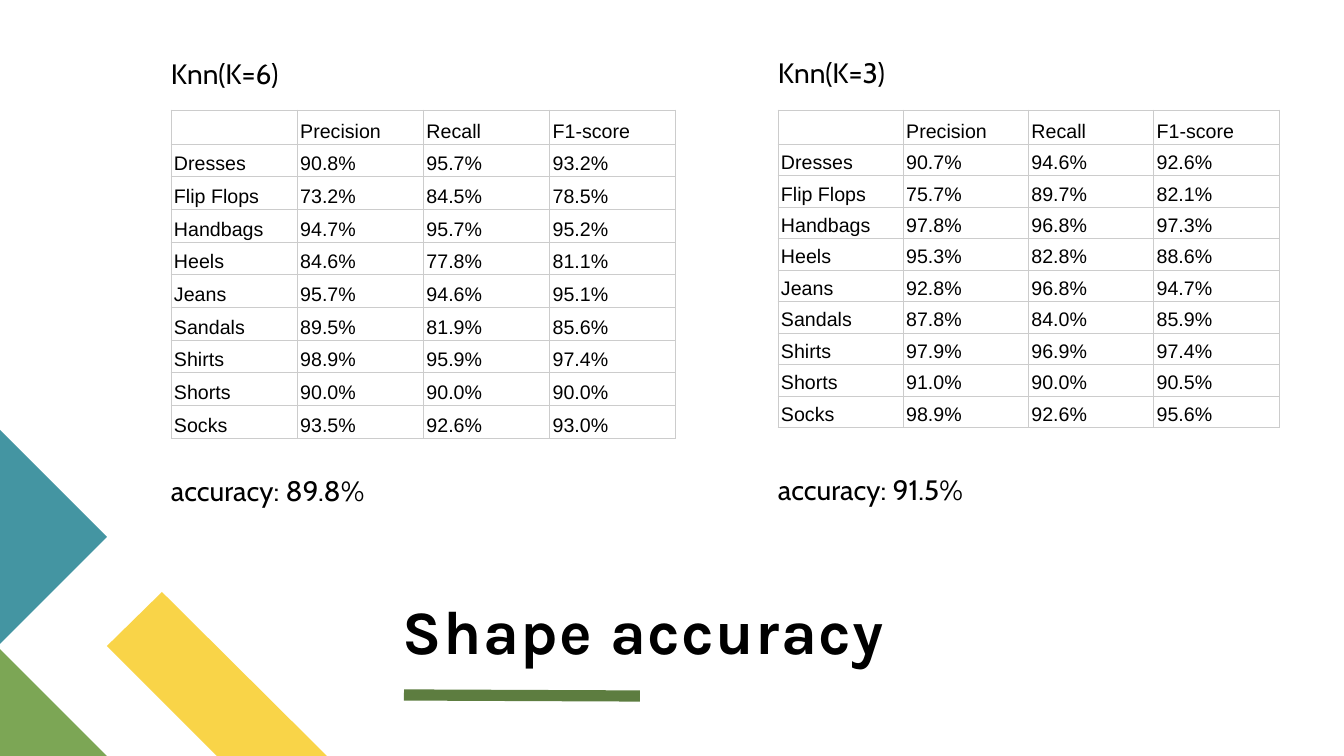
from lxml.etree import SubElement
from pptx import Presentation
from pptx.dml.color import RGBColor
from pptx.enum.shapes import MSO_CONNECTOR
from pptx.enum.text import MSO_ANCHOR
from pptx.oxml.ns import qn
from pptx.util import Emu, Pt

EMU_PER_PX = 914400 / 100.8

BLACK = RGBColor(0x00, 0x00, 0x00)
TEAL = RGBColor(0x44, 0x95, 0xA2)
YELLOW = RGBColor(0xF9, 0xD4, 0x48)
GREEN = RGBColor(0x7C, 0xA6, 0x55)
DARK_GREEN = RGBColor(0x5D, 0x7D, 0x40)
GRID_GREY = RGBColor(0xCC, 0xCC, 0xCC)

METRICS = ["", "Precision", "Recall", "F1-score"]
SCORES_K6 = [
    ["Dresses", "90.8%", "95.7%", "93.2%"],
    ["Flip Flops", "73.2%", "84.5%", "78.5%"],
    ["Handbags", "94.7%", "95.7%", "95.2%"],
    ["Heels", "84.6%", "77.8%", "81.1%"],
    ["Jeans", "95.7%", "94.6%", "95.1%"],
    ["Sandals", "89.5%", "81.9%", "85.6%"],
    ["Shirts", "98.9%", "95.9%", "97.4%"],
    ["Shorts", "90.0%", "90.0%", "90.0%"],
    ["Socks", "93.5%", "92.6%", "93.0%"],
]
SCORES_K3 = [
    ["Dresses", "90.7%", "94.6%", "92.6%"],
    ["Flip Flops", "75.7%", "89.7%", "82.1%"],
    ["Handbags", "97.8%", "96.8%", "97.3%"],
    ["Heels", "95.3%", "82.8%", "88.6%"],
    ["Jeans", "92.8%", "96.8%", "94.7%"],
    ["Sandals", "87.8%", "84.0%", "85.9%"],
    ["Shirts", "97.9%", "96.9%", "97.4%"],
    ["Shorts", "91.0%", "90.0%", "90.5%"],
    ["Socks", "98.9%", "92.6%", "95.6%"],
]


def px(length):
    """Turn a length in px into EMU."""
    return Emu(round(length * EMU_PER_PX))


def format_text(paragraph, font_name, size, spacing):
    """Give a paragraph its line spacing and its runs their font."""
    paragraph.line_spacing = spacing
    for run in paragraph.runs:
        run.font.name = font_name
        run.font.size = Pt(size)
        run.font.color.rgb = BLACK


def set_insets(area, left, top, right, bottom):
    """Set the four inner margins of a text frame or cell."""
    area.margin_left, area.margin_top = px(left), px(top)
    area.margin_right, area.margin_bottom = px(right), px(bottom)


def add_caption(slide, left, top, wording):
    """Place a one-line caption above or below a table."""
    frame = slide.shapes.add_textbox(px(left), px(top), px(339), px(67)).text_frame
    frame.word_wrap = True
    set_insets(frame, 0, 30, 10, 5)
    frame.text = wording
    format_text(frame.paragraphs[0], "Cabin", 20, 0.9)


def add_cell_borders(cell):
    """Draw a thin grey line on each side of a cell."""
    properties = cell._tc.get_or_add_tcPr()
    for side in ("a:lnL", "a:lnR", "a:lnT", "a:lnB"):
        line = SubElement(properties, qn(side), w=str(Pt(0.75)))
        fill = SubElement(line, qn("a:solidFill"))
        SubElement(fill, qn("a:srgbClr"), val=str(GRID_GREY))


def add_score_table(slide, left, top, width, height, scores):
    """Fill the box with an even grid of scores under the metric names."""
    rows = [METRICS] + scores
    table = slide.shapes.add_table(
        len(rows), len(METRICS), px(left), px(top), px(width), px(height)
    ).table
    table.first_row = table.horz_banding = False
    for column in table.columns:
        column.width = px(width / len(METRICS))
    for table_row, values in zip(table.rows, rows):
        table_row.height = px(height / len(rows))
        for cell, value in zip(table_row.cells, values):
            cell.text = value
            cell.vertical_anchor = MSO_ANCHOR.BOTTOM
            set_insets(cell, 3, 2, 3, 2)
            format_text(cell.text_frame.paragraphs[0], "Arial", 14, Pt(11.2))
            add_cell_borders(cell)
            cell.fill.background()


def add_result(slide, left, top, width, table_height, neighbours, scores, accuracy):
    """Place one classifier's heading, score table and accuracy."""
    add_caption(slide, left, top, f"Knn(K={neighbours})")
    add_score_table(slide, left, 110, width, table_height, scores)
    add_caption(slide, left, top + 417, f"accuracy: {accuracy}")


def add_corner(slide, left, top):
    """Place the coloured corner pieces relative to their top left."""
    pieces = [
        (YELLOW, [(327, 326), (217, 326), (107, 216), (162, 162)]),
        (GREEN, [(107, 326), (0, 326), (0, 219)]),
        (TEAL, [(0, 0), (107, 107), (0, 214)]),
    ]
    for colour, offsets in pieces:
        corners = [(left + x, top + y) for x, y in offsets]
        outline = slide.shapes.build_freeform(*corners[0], scale=EMU_PER_PX)
        outline.add_line_segments(corners[1:], close=True)
        piece = outline.convert_to_shape()
        piece.shadow.inherit = False
        piece.fill.solid()
        piece.fill.fore_color.rgb = colour
        piece.line.fill.background()


def add_title(slide, left, top, width, height):
    """Place the slide title at the bottom of its box, with a bar below."""
    bar_top = top + height + 29
    bar = slide.shapes.add_connector(
        MSO_CONNECTOR.STRAIGHT, px(left + 1), px(bar_top), px(left + 237), px(bar_top + 1)
    )
    bar.line.color.rgb = DARK_GREEN
    bar.line.width = Pt(8)
    SubElement(bar._element.spPr, qn("a:effectLst"))

    frame = slide.shapes.add_textbox(px(left), px(top), px(width), px(height)).text_frame
    frame.word_wrap = True
    frame.vertical_anchor = MSO_ANCHOR.BOTTOM
    set_insets(frame, 0, 0, 0, 0)
    frame.text = "Shape accuracy"
    format_text(frame.paragraphs[0], "Karla", 44, 0.8)
    title_run = frame.paragraphs[0].runs[0]
    title_run.font.bold = True
    title_run._r.get_or_add_rPr().set("spc", "100")


def main():
    """Build the slide and save it."""
    presentation = Presentation()
    presentation.slide_width, presentation.slide_height = px(1344), px(756)
    slide = presentation.slides.add_slide(presentation.slide_layouts[6])
    add_corner(slide, 0, 430)
    add_title(slide, 403, 514, 875, 152)
    add_result(slide, 778, 32, 501, 315, 3, SCORES_K3, "91.5%")
    add_result(slide, 171, 33, 505, 327, 6, SCORES_K6, "89.8%")
    presentation.save("out.pptx")


if __name__ == "__main__":
    main()
